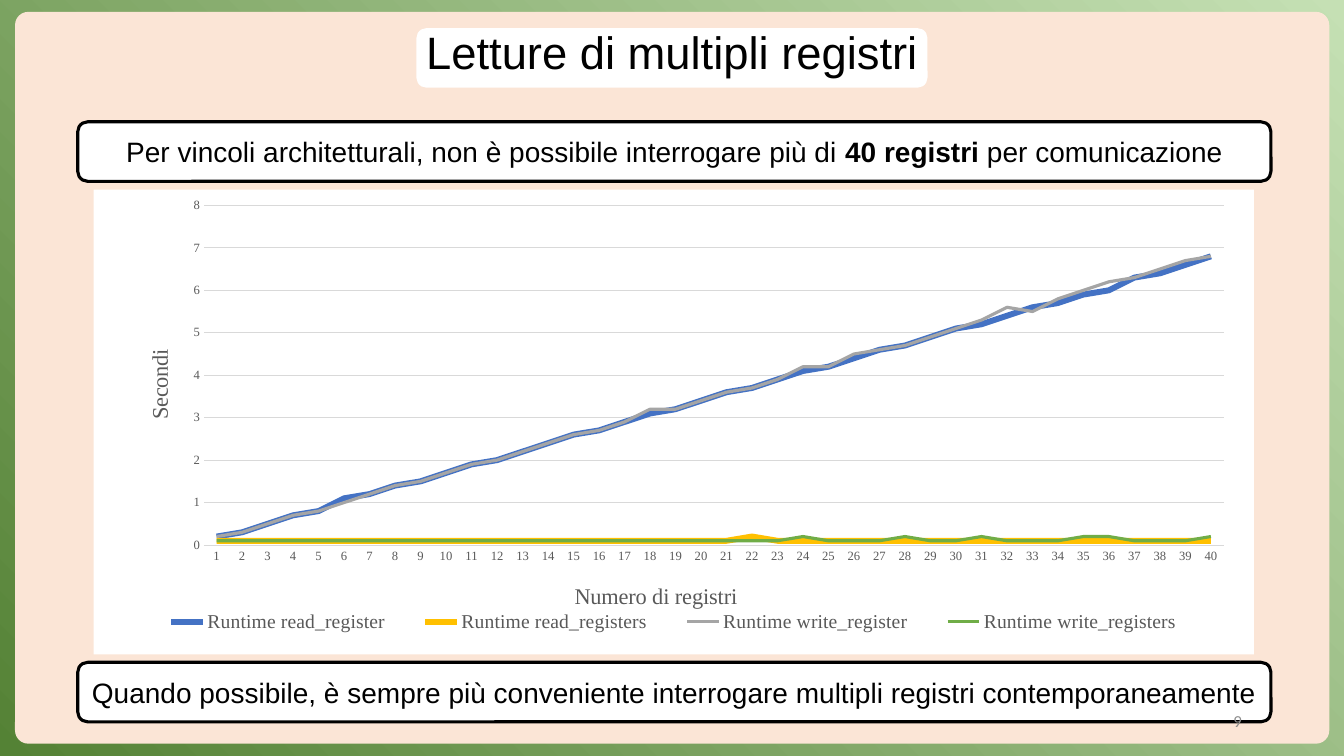
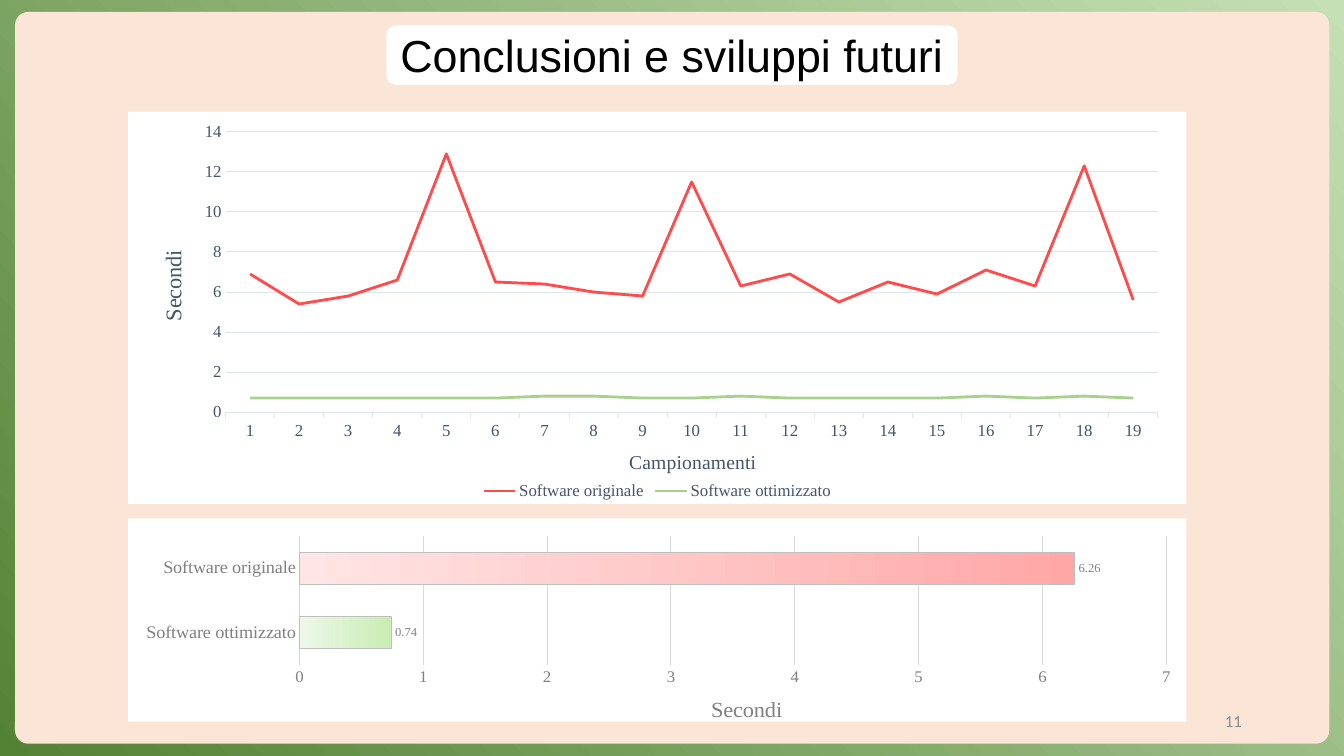
from lxml import etree
from pptx import Presentation
from pptx.chart.data import CategoryChartData
from pptx.dml.color import RGBColor
from pptx.enum.chart import (XL_CHART_TYPE as ChartKind, XL_LABEL_POSITION as LabelPos,
                             XL_LEGEND_POSITION as LegendPos, XL_TICK_MARK as Tick)
from pptx.enum.shapes import MSO_SHAPE as Shape
from pptx.enum.text import MSO_ANCHOR as Anchor, MSO_AUTO_SIZE as AutoSize, PP_ALIGN as Align
from pptx.oxml import parse_xml
from pptx.oxml.ns import nsdecls, qn
from pptx.util import Cm, Pt

# Shared look
SLIDE_W, SLIDE_H = 33.87, 19.05
BAR_H = 1.5
SANS, SERIF, NUMBER_FONT = "Arial", "Times New Roman", "Calibri"
BLACK, WHITE = RGBColor(0, 0, 0), RGBColor(255, 255, 255)
PEACH = RGBColor(0xFB, 0xE5, 0xD6)
LIGHT_GREEN, DARK_GREEN = RGBColor(0xC5, 0xE0, 0xB4), RGBColor(0x54, 0x82, 0x35)
NUMBER_GRAY = RGBColor(0x8C, 0x8C, 0x8C)
DARK_GRAY, MID_GRAY = RGBColor(0x59, 0x59, 0x59), RGBColor(0x80, 0x80, 0x80)
RULE_GRAY, BAR_EDGE = RGBColor(0xD9, 0xD9, 0xD9), RGBColor(0xBF, 0xBF, 0xBF)
SLATE, RULE_SLATE = RGBColor(0x44, 0x54, 0x6A), RGBColor(0xE0, 0xE5, 0xEB)
BLUE, GOLD = RGBColor(0x44, 0x72, 0xC4), RGBColor(0xFF, 0xC0, 0x00)
SILVER, GREEN = RGBColor(0xA5, 0xA5, 0xA5), RGBColor(0x70, 0xAD, 0x47)
RED, SOFT_GREEN = RGBColor(0xFF, 0x4B, 0x4B), RGBColor(0xA9, 0xD1, 0x8E)
MINT, PALE_MINT = RGBColor(0xC9, 0xEC, 0xB4), RGBColor(0xED, 0xF8, 0xE8)
ROSE, PALE_ROSE = RGBColor(0xFF, 0xA7, 0xA7), RGBColor(0xFF, 0xE5, 0xE5)

# Measured seconds
READ_ONE = [0.2, 0.3, 0.5, 0.7, 0.8, 1.1, 1.2, 1.4, 1.5, 1.7, 1.9, 2, 2.2, 2.4,
            2.6, 2.7, 2.9, 3.1, 3.2, 3.4, 3.6, 3.7, 3.9, 4.1, 4.2, 4.4, 4.6, 4.7,
            4.9, 5.1, 5.2, 5.4, 5.6, 5.7, 5.9, 6, 6.3, 6.4, 6.6, 6.8]
WRITE_ONE = [0.2, 0.3, 0.5, 0.7, 0.8, 1, 1.2, 1.4, 1.5, 1.7, 1.9, 2, 2.2, 2.4,
             2.6, 2.7, 2.9, 3.2, 3.2, 3.4, 3.6, 3.7, 3.9, 4.2, 4.2, 4.5, 4.6, 4.7,
             4.9, 5.1, 5.3, 5.6, 5.5, 5.8, 6, 6.2, 6.3, 6.5, 6.7, 6.8]
READ_MANY = [0.2 if count == 22 else 0.1 for count in range(1, 41)]
WRITE_MANY = [0.2 if count in (24, 28, 31, 35, 36, 40) else 0.1 for count in range(1, 41)]
BEFORE = [6.9, 5.4, 5.8, 6.6, 12.9, 6.5, 6.4, 6, 5.8, 11.5, 6.3, 6.9, 5.5, 6.5,
          5.9, 7.1, 6.3, 12.3, 5.6]
AFTER = [0.8 if sample in (7, 8, 11, 16, 18) else 0.7 for sample in range(1, 20)]

# Charts: boxes in cm; layouts are fractions of the chart
REGISTERS = dict(
    kind=ChartKind.LINE, box=(2.36, 4.78, 29.24, 11.71), plot=(0.095, 0.034, 0.879, 0.731),
    categories=[str(n) for n in range(1, 41)], ink=DARK_GRAY, rule=RULE_GRAY,
    category_size=9, value_size=9, tick=Tick.NONE, top=8, step=1,
    category_title=("Numero di registri", 16, 0.411, 0.835),
    value_title=("Secondi", 16, 0.041, 0.334),
    legend_size=14, legend=(0.038, 0.9, 0.924, 0.06),
    series=[("Runtime read_register", READ_ONE, BLUE, 4.25),
            ("Runtime read_registers", READ_MANY, GOLD, 4.25),
            ("Runtime write_register", WRITE_ONE, SILVER, 2.25),
            ("Runtime write_registers", WRITE_MANY, GREEN, 2.25)])
SAMPLES = dict(
    kind=ChartKind.LINE, box=(3.23, 2.82, 26.67, 9.88), plot=(0.092, 0.051, 0.881, 0.715),
    categories=[str(n) for n in range(1, 20)], ink=SLATE, rule=RULE_SLATE,
    category_size=12, value_size=12, tick=Tick.OUTSIDE, top=14, step=2,
    category_title=("Campionamenti", 14, 0.47, 0.852),
    value_title=("Secondi", 16, 0.025, 0.342),
    legend_size=12, legend=None,
    series=[("Software originale", BEFORE, RED, 2),
            ("Software ottimizzato", AFTER, SOFT_GREEN, 2)])
AVERAGES = dict(
    kind=ChartKind.BAR_CLUSTERED, box=(3.23, 13.06, 26.67, 5.31),
    plot=(0.162, 0.089, 0.819, 0.631),
    categories=["Software ottimizzato", "Software originale"], ink=MID_GRAY, rule=RULE_GRAY,
    category_size=13, value_size=12, tick=Tick.NONE, top=7, step=1,
    category_title=None, value_title=("Secondi", 16, 0.547, 0.853), legend_size=None,
    series=[("Series 1", [0.74, 6.26], None, 0.75)],
    bars=[(MINT, PALE_MINT), (ROSE, PALE_ROSE)])

SLIDES = [
    dict(title="Letture di multipli registri", title_size=32.4, title_top=0.61,
         plate_top=0.71, plate_w=12.88, number="9", charts=[REGISTERS],
         notices=[(3.07, [("Per vincoli architetturali, non è possibile interrogare più di ", False),
                          ("40 registri ", True), ("per comunicazione", False)]),
                  (16.69, [("Quando possibile, è sempre più conveniente interrogare "
                            "multipli registri contemporaneamente", False)])]),
    dict(title="Conclusioni e sviluppi futuri", title_size=32, title_top=0.69,
         plate_top=0.64, plate_w=14.4, number="11", charts=[SAMPLES, AVERAGES], notices=[]),
]


def set_font(font, name, size, color, bold=False):
    font.name, font.size, font.bold = name, Pt(size), bold
    font.color.rgb = color


def set_gradient(fill, start, end, angle):
    fill.gradient()
    fill.gradient_angle = angle
    for stop, color in zip(fill.gradient_stops, (start, end)):
        stop.color.rgb = color


def add_round_box(slide, left, top, width, height, color):
    box = slide.shapes.add_shape(Shape.ROUNDED_RECTANGLE, Cm(left), Cm(top), Cm(width), Cm(height))
    box.shadow.inherit = False
    box.fill.solid()
    box.fill.fore_color.rgb = color
    box.line.fill.background()
    return box


def add_frame(slide, content):
    """Panel and title plate behind the title, then the title itself."""
    panel = add_round_box(slide, 0.38, 0.3, 33.12, 18.44, PEACH)
    panel.adjustments[0] = 0.018
    plate_w = content["plate_w"]
    plate = add_round_box(slide, (SLIDE_W - plate_w) / 2, content["plate_top"],
                          plate_w, BAR_H, WHITE)
    title = slide.shapes.title
    for backdrop in (panel, plate):
        title._element.addprevious(backdrop._element)
    title.left, title.top = Cm(0), Cm(content["title_top"])
    title.width, title.height = Cm(SLIDE_W), Cm(1.52)
    frame = title.text_frame
    frame.text = content["title"]
    frame.auto_size, frame.vertical_anchor = AutoSize.NONE, Anchor.BOTTOM
    paragraph = frame.paragraphs[0]
    paragraph.alignment, paragraph.line_spacing = Align.CENTER, 0.9
    set_font(paragraph.runs[0].font, SANS, content["title_size"], BLACK)


def add_notice(slide, top, parts):
    notice = add_round_box(slide, 1.96, top, 30.07, BAR_H, WHITE)
    notice.line.color.rgb, notice.line.width = BLACK, Pt(2.25)
    frame = notice.text_frame
    frame.margin_left = frame.margin_right = Cm(0.1)
    frame.vertical_anchor = Anchor.MIDDLE
    paragraph = frame.paragraphs[0]
    paragraph.alignment = Align.CENTER
    for text, bold in parts:
        run = paragraph.add_run()
        run.text = text
        set_font(run.font, SANS, 20, BLACK, bold)


def add_number(slide, number):
    frame = slide.shapes.add_textbox(Cm(23.93), Cm(17.65), Cm(7.62), Cm(1.02)).text_frame
    frame.word_wrap, frame.vertical_anchor = True, Anchor.MIDDLE
    frame.text = number
    frame.paragraphs[0].alignment = Align.RIGHT
    set_font(frame.paragraphs[0].runs[0].font, NUMBER_FONT, 12, NUMBER_GRAY)


def place(element, index, fractions, inner=False):
    """Give a chart part a fixed place, as fractions of the chart."""
    for old in element.findall(qn("c:layout")):
        element.remove(old)
    layout = parse_xml(f'<c:layout {nsdecls("c")}><c:manualLayout/></c:layout>')
    settings = [("layoutTarget", "inner")] if inner else []
    settings += [("xMode", "edge"), ("yMode", "edge")]
    settings += zip("xywh", fractions)
    for tag, value in settings:
        etree.SubElement(layout[0], qn(f"c:{tag}")).set("val", str(value))
    element.insert(index, layout)


def style_axis(axis, size, title, turn, data):
    axis.major_tick_mark, axis.minor_tick_mark = data["tick"], Tick.NONE
    set_font(axis.tick_labels.font, SERIF, size, data["ink"])
    axis.has_title = title is not None
    if title:
        text, title_size, x, y = title
        frame = axis.axis_title.text_frame
        frame.text = text
        set_font(frame.paragraphs[0].runs[0].font, SERIF, title_size, data["ink"])
        frame._txBody.find(qn("a:bodyPr")).set("rot", str(turn * 60000))
        place(axis.axis_title._element, 1, (x, y))


def add_chart(slide, data):
    table = CategoryChartData()
    table.categories = data["categories"]
    for name, values, *_ in data["series"]:
        table.add_series(name, values)
    chart = slide.shapes.add_chart(data["kind"], *map(Cm, data["box"]), table).chart
    chart.has_title = False
    set_font(chart.font, SERIF, 10, BLACK)
    is_bar = data["kind"] == ChartKind.BAR_CLUSTERED

    # White chart area and fixed plot area
    chart_part = chart._chartSpace.find(qn("c:chart"))
    chart_part.addnext(parse_xml(
        f'<c:spPr {nsdecls("c", "a")}><a:solidFill><a:srgbClr val="{WHITE}"/></a:solidFill>'
        '<a:ln><a:noFill/></a:ln></c:spPr>'))
    place(chart_part.find(qn("c:plotArea")), 0, data["plot"], inner=True)

    # Axes
    category, value = chart.category_axis, chart.value_axis
    style_axis(category, data["category_size"], data["category_title"], 0, data)
    style_axis(value, data["value_size"], data["value_title"], 0 if is_bar else -90, data)
    value.major_tick_mark = Tick.NONE
    value.minimum_scale, value.maximum_scale = 0, data["top"]
    value.major_unit = data["step"]
    value.tick_labels.number_format = "0"
    value.tick_labels.number_format_is_linked = False
    value.has_major_gridlines = True
    for rule in (category.format.line, value.major_gridlines.format.line):
        rule.color.rgb, rule.width = data["rule"], Pt(0.75)
    value.format.line.fill.background()

    # Legend
    chart.has_legend = data["legend_size"] is not None
    if chart.has_legend:
        chart.legend.position = LegendPos.BOTTOM
        chart.legend.include_in_layout = False
        set_font(chart.legend.font, SERIF, data["legend_size"], data["ink"])
        if data["legend"]:
            place(chart.legend._element, 1, data["legend"])

    # Series
    plot = chart.plots[0]
    plot.vary_by_categories = False
    if is_bar:
        style_bars(plot, data)
        return
    for series, (_, _, color, width) in zip(plot.series, data["series"]):
        series.smooth = False
        series.format.line.color.rgb, series.format.line.width = color, Pt(width)


def style_bars(plot, data):
    plot.gap_width = 100
    for index, (dark, pale) in enumerate(data["bars"]):
        bar = plot.series[0].points[index].format
        set_gradient(bar.fill, dark, pale, 180)
        bar.line.color.rgb, bar.line.width = BAR_EDGE, Pt(0.75)
    plot.has_data_labels = True
    labels = plot.data_labels
    labels.show_value, labels.position = True, LabelPos.OUTSIDE_END
    labels.number_format, labels.number_format_is_linked = "0.00", False
    set_font(labels.font, SERIF, 9, data["ink"])


def main():
    prs = Presentation()
    prs.slide_width, prs.slide_height = Cm(SLIDE_W), Cm(SLIDE_H)
    set_gradient(prs.slide_master.background.fill, LIGHT_GREEN, DARK_GREEN, 225)
    for content in SLIDES:
        slide = prs.slides.add_slide(prs.slide_layouts[5])
        add_frame(slide, content)
        for data in content["charts"]:
            add_chart(slide, data)
        for top, parts in content["notices"]:
            add_notice(slide, top, parts)
        add_number(slide, content["number"])
    prs.save("out.pptx")


if __name__ == "__main__":
    main()
